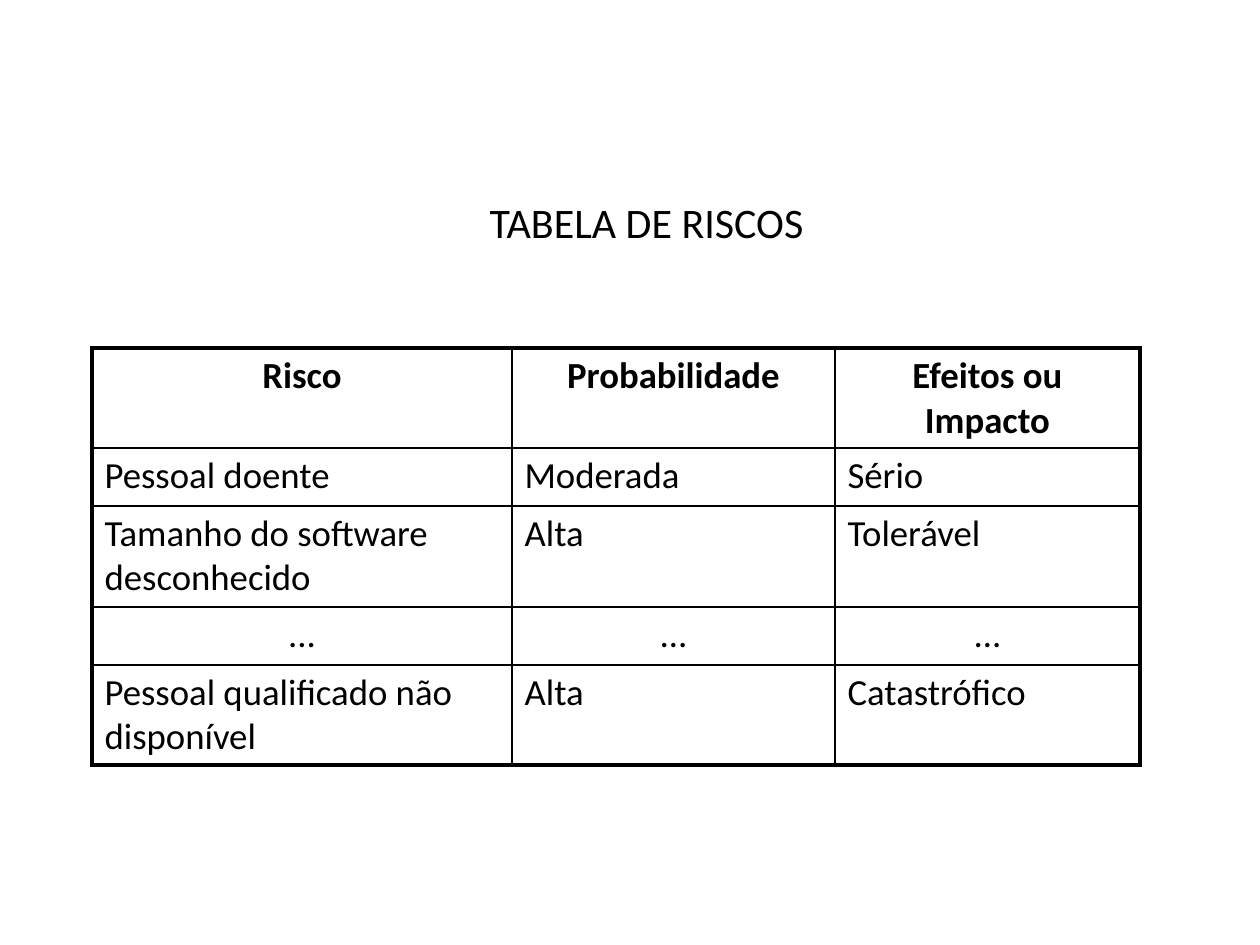
import pptx
import pptx.dml.color
import pptx.enum.text
import pptx.oxml.ns
import pptx.util
from lxml import etree

PX_PER_INCH = 126
BLACK = "000000"
FONT = "Calibri"
OUTER_LINE, INNER_LINE = 2.21, 0.96

COLUMN_WIDTHS = [420, 323, 305]
ROW_HEIGHTS = [99, 58, 101, 58, 100]
RISKS = [
    ["Risco", "Probabilidade", "Efeitos ou Impacto"],
    ["Pessoal doente", "Moderada", "Sério"],
    ["Tamanho do software desconhecido", "Alta", "Tolerável"],
    ["...", "…", "…"],
    ["Pessoal qualificado não disponível", "Alta", "Catastrófico"],
]
CENTERED_ROWS = (0, 3)


def px(length):
    return pptx.util.Emu(round(length * 914400 / PX_PER_INCH))


def color(hex_value):
    return pptx.dml.color.RGBColor.from_string(hex_value)


def format_paragraph(paragraph, size, centered, bold=False):
    align = pptx.enum.text.PP_ALIGN
    paragraph.alignment = align.CENTER if centered else align.LEFT
    font = paragraph.font
    font.name = FONT
    font.size = pptx.util.Pt(size)
    font.bold = bold
    font.color.rgb = color(BLACK)


def set_borders(cell, widths):
    """Put the left, right, top and bottom lines ahead of the cell's fill."""
    qn = pptx.oxml.ns.qn
    properties = cell._tc.get_or_add_tcPr()
    for index, (side, width) in enumerate(widths.items()):
        line = etree.Element(qn(f"a:ln{side}"), w=str(int(pptx.util.Pt(width))))
        fill = etree.SubElement(line, qn("a:solidFill"))
        etree.SubElement(fill, qn("a:srgbClr"), val=BLACK)
        properties.insert(index, line)


def add_title(slide, text):
    title = slide.shapes.title
    title.left, title.top, title.width, title.height = px(150), px(202), px(993), px(108)
    frame = title.text_frame
    frame.text = text
    frame.word_wrap = True
    frame.auto_size = pptx.enum.text.MSO_AUTO_SIZE.NONE
    frame.vertical_anchor = pptx.enum.text.MSO_ANCHOR.TOP
    frame.margin_left = frame.margin_right = frame.margin_top = frame.margin_bottom = 0
    paragraph = frame.paragraphs[0]
    paragraph.line_spacing = 0.9
    format_paragraph(paragraph, 24, centered=True)


def add_risk_table(slide):
    last_row, last_column = len(ROW_HEIGHTS) - 1, len(COLUMN_WIDTHS) - 1
    table = slide.shapes.add_table(
        len(ROW_HEIGHTS), len(COLUMN_WIDTHS), px(92), px(348),
        px(sum(COLUMN_WIDTHS)), px(sum(ROW_HEIGHTS))).table
    table.horz_banding = False

    for column, width in zip(table.columns, COLUMN_WIDTHS):
        column.width = px(width)
    for row, height in zip(table.rows, ROW_HEIGHTS):
        row.height = px(height)

    for r, texts in enumerate(RISKS):
        for c, text in enumerate(texts):
            cell = table.cell(r, c)
            cell.text = text
            cell.margin_left = cell.margin_right = pptx.util.Inches(0.1)
            cell.margin_top = cell.margin_bottom = pptx.util.Inches(0.04)
            cell.fill.background()
            format_paragraph(cell.text_frame.paragraphs[0], 21,
                             centered=r in CENTERED_ROWS, bold=r == 0)
            on_edge = {"L": c == 0, "R": c == last_column,
                       "T": r == 0, "B": r == last_row}
            set_borders(cell, {side: OUTER_LINE if outer else INNER_LINE
                               for side, outer in on_edge.items()})


def main():
    deck = pptx.Presentation()
    deck.slide_width, deck.slide_height = px(1260), px(945)
    slide = deck.slides.add_slide(deck.slide_layouts[5])
    slide.background.fill.solid()
    slide.background.fill.fore_color.rgb = color("FFFFFF")

    # Heading
    add_title(slide, "TABELA DE RISCOS")

    # Risks with their probability and impact
    add_risk_table(slide)

    deck.save("out.pptx")


if __name__ == "__main__":
    main()
